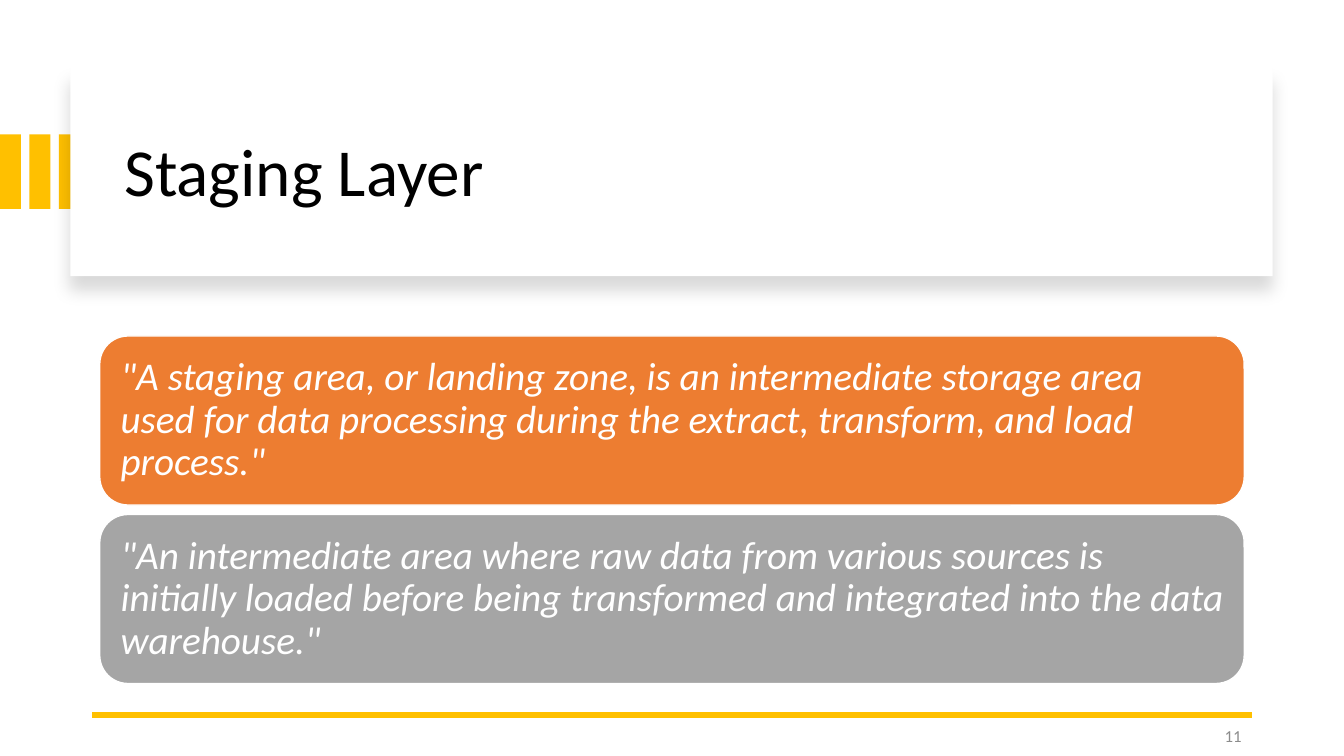
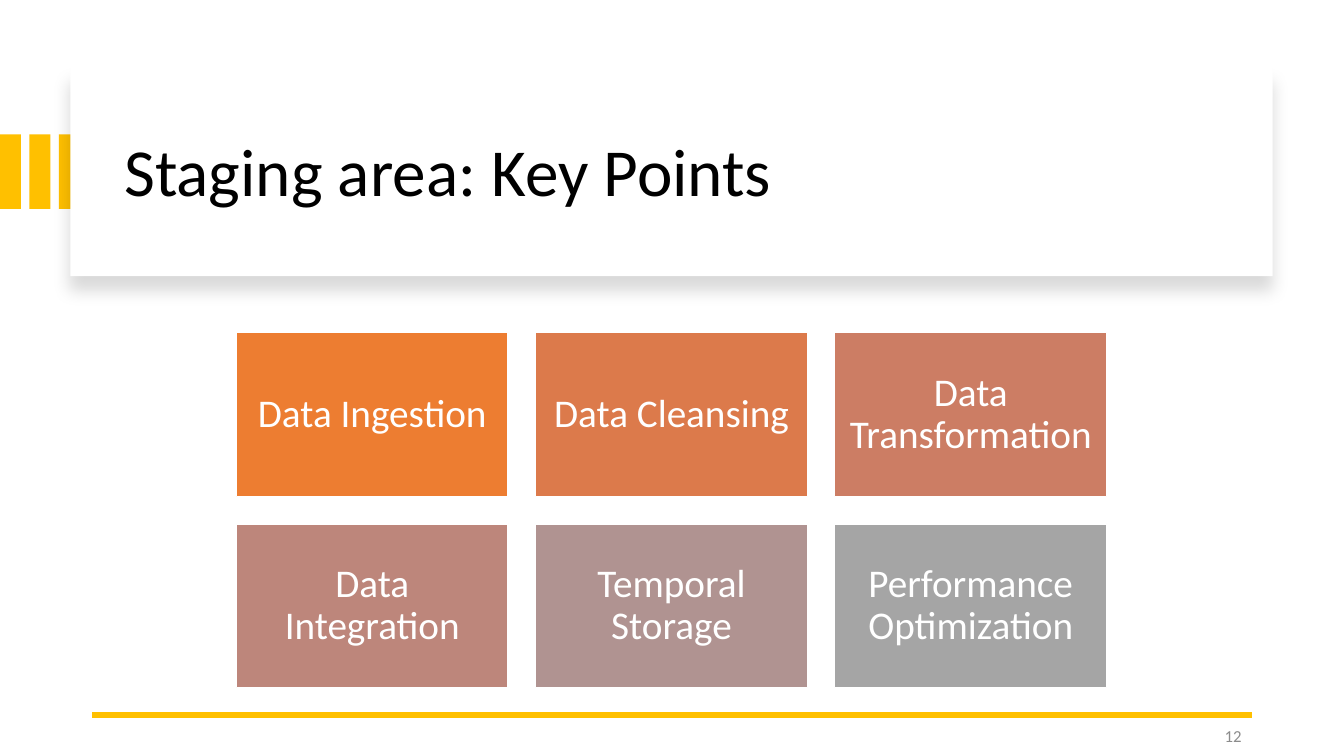
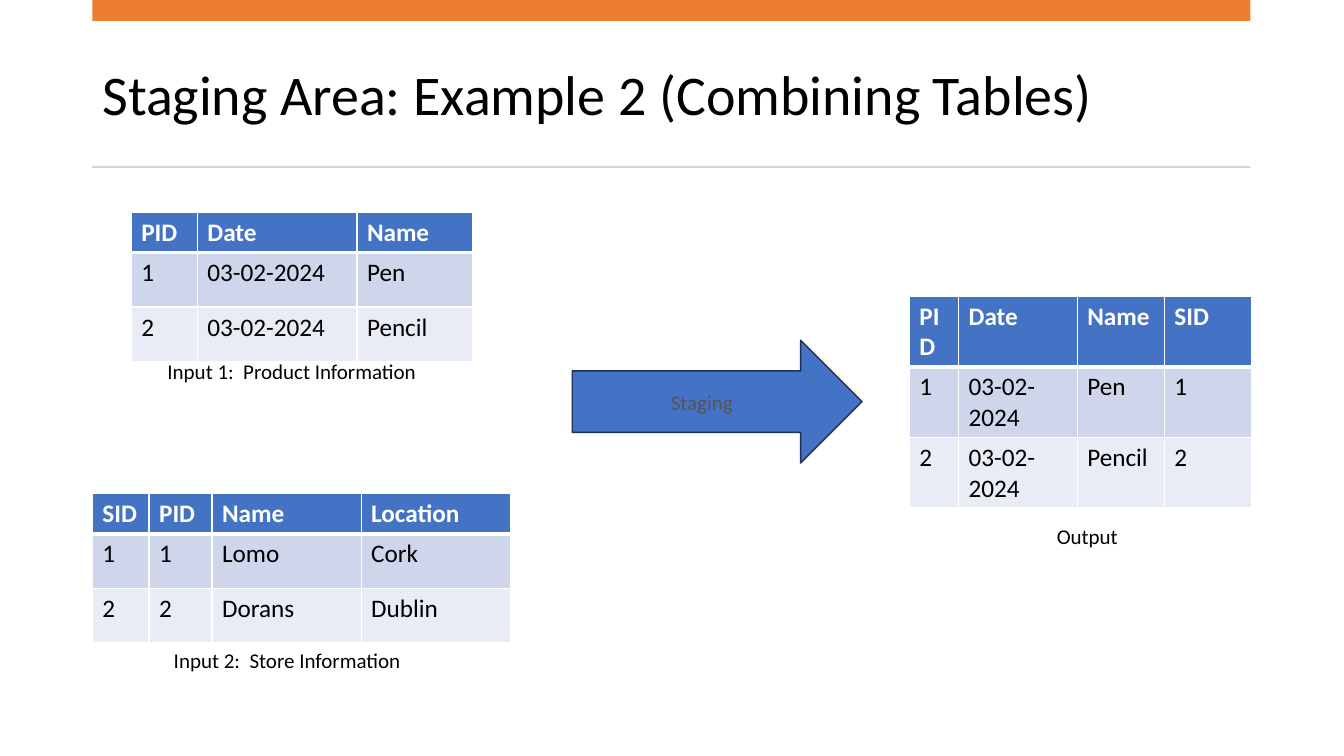
import lxml.etree
import pptx
import pptx.dml.color
import pptx.enum.shapes
import pptx.enum.text
import pptx.oxml
import pptx.oxml.ns
import pptx.util

SCALE = 9525
FONT = "Calibri"

RGBColor = pptx.dml.color.RGBColor
Shapes = pptx.enum.shapes.MSO_SHAPE
Align = pptx.enum.text.PP_ALIGN
Anchor = pptx.enum.text.MSO_ANCHOR

BLACK = RGBColor(0x00, 0x00, 0x00)
WHITE = RGBColor(0xFF, 0xFF, 0xFF)
GOLD = RGBColor(0xFF, 0xC0, 0x00)
ORANGE = RGBColor(0xED, 0x7D, 0x31)
GREY = RGBColor(0xA5, 0xA5, 0xA5)
RULE_GREY = RGBColor(0xD5, 0xD5, 0xD5)
NUMBER_GREY = RGBColor(0x8C, 0x8C, 0x8C)
ARROW_GREY = RGBColor(0x55, 0x55, 0x55)
BLUE = RGBColor(0x44, 0x72, 0xC4)
NAVY = RGBColor(0x1E, 0x32, 0x56)
BAND_DARK = RGBColor(0xCF, 0xD5, 0xEA)
BAND_LIGHT = RGBColor(0xE9, 0xEB, 0xF5)
TILE_COLORS = [
    ORANGE,
    RGBColor(0xDC, 0x7A, 0x4B),
    RGBColor(0xCC, 0x7D, 0x64),
    RGBColor(0xBD, 0x86, 0x7B),
    RGBColor(0xB0, 0x93, 0x91),
    GREY,
]

ROW_HEIGHTS = [33, 52, 52]
CARD_INSET = 12
DRAWING = "http://schemas.openxmlformats.org/drawingml/2006/main"


def px(value):
    return pptx.util.Emu(value * SCALE)


def box(left, top, width, height):
    return px(left), px(top), px(width), px(height)


def style_paragraph(paragraph, size, color, bold=False, italic=False):
    font = paragraph.font
    font.name = FONT
    font.size = pptx.util.Pt(size)
    font.color.rgb = color
    font.bold = bold
    font.italic = italic


def write_text(shape, text, size, color, align=Align.LEFT, anchor=Anchor.MIDDLE,
               spacing=1.0, italic=False, inset=None):
    frame = shape.text_frame
    frame.word_wrap = True
    frame.vertical_anchor = anchor
    if inset is not None:
        frame.margin_left = frame.margin_right = px(inset)
        frame.margin_top = frame.margin_bottom = px(inset)
    paragraph = frame.paragraphs[0]
    paragraph.text = text
    paragraph.alignment = align
    paragraph.line_spacing = spacing
    style_paragraph(paragraph, size, color, italic=italic)


def add_text(slide, bounds, text, size, color=BLACK, **options):
    write_text(slide.shapes.add_textbox(*box(*bounds)), text, size, color, **options)


def add_block(slide, kind, bounds, fill, outline=None):
    shape = slide.shapes.add_shape(kind, *box(*bounds))
    shape.shadow.inherit = False
    shape.fill.solid()
    shape.fill.fore_color.rgb = fill
    if outline is None:
        shape.line.fill.background()
    else:
        shape.line.color.rgb = outline
        shape.line.width = pptx.util.Pt(1)
    return shape


def add_card(slide, kind, bounds, fill, text, **options):
    shape = add_block(slide, kind, bounds, fill, WHITE)
    write_text(shape, text, 28, WHITE, spacing=0.9, inset=CARD_INSET, **options)


def add_drop_shadow(shape):
    effects = shape.element.spPr.find(pptx.oxml.ns.qn("a:effectLst"))
    effects.append(pptx.oxml.parse_xml(
        f'<a:outerShdw xmlns:a="{DRAWING}" blurRad="139700" dist="127000" '
        'dir="5400000" algn="t" rotWithShape="0"><a:srgbClr val="000000">'
        '<a:alpha val="15000"/></a:srgbClr></a:outerShdw>'))


def add_rule(slide, left, right, y):
    line = slide.shapes.add_connector(
        pptx.enum.shapes.MSO_CONNECTOR.STRAIGHT, px(left), px(y), px(right), px(y))
    line.line.color.rgb = GOLD
    line.line.width = pptx.util.Pt(4.5)
    lxml.etree.SubElement(line.element.spPr, pptx.oxml.ns.qn("a:effectLst"))


def add_slide(presentation):
    return presentation.slides.add_slide(presentation.slide_layouts[6])


def add_banner_slide(presentation, title, number):
    slide = add_slide(presentation)
    for index in range(3):
        add_block(slide, Shapes.RECTANGLE, (index * 28, 128, 20, 71), GOLD)
    banner = add_block(slide, Shapes.RECTANGLE, (67, 64, 1145, 199), WHITE)
    add_drop_shadow(banner)
    add_text(slide, (109, 85, 1068, 163), title, 48, spacing=0.9)
    add_rule(slide, 88, 1192, 681)
    add_text(slide, (904, 682, 288, 38), number, 12, NUMBER_GREY, align=Align.RIGHT)
    return slide


def set_borders(cell, top, bottom):
    properties = cell._tc.get_or_add_tcPr()
    widths = {"lnL": 1, "lnR": 1, "lnT": top, "lnB": bottom}
    for index, (side, width) in enumerate(widths.items()):
        properties.insert(index, pptx.oxml.parse_xml(
            f'<a:{side} xmlns:a="{DRAWING}" w="{pptx.util.Pt(width)}"><a:solidFill>'
            f'<a:srgbClr val="{WHITE}"/></a:solidFill></a:{side}>'))


def add_data_table(slide, left, top, column_widths, rows):
    bounds = box(left, top, sum(column_widths), sum(ROW_HEIGHTS))
    table = slide.shapes.add_table(len(rows), len(column_widths), *bounds).table
    for column, width in zip(table.columns, column_widths):
        column.width = px(width)
    fills = [BLUE, BAND_DARK, BAND_LIGHT]
    for row_index, values in enumerate(rows):
        table.rows[row_index].height = px(ROW_HEIGHTS[row_index])
        header = row_index == 0
        for column_index, value in enumerate(values):
            cell = table.cell(row_index, column_index)
            cell.fill.solid()
            cell.fill.fore_color.rgb = fills[row_index]
            set_borders(cell, 3 if row_index == 1 else 1, 3 if header else 1)
            paragraph = cell.text_frame.paragraphs[0]
            paragraph.text = value
            style_paragraph(paragraph, 18, WHITE if header else BLACK, bold=header)


def build_staging_layer(presentation):
    slide = add_banner_slide(presentation, "Staging Layer", "11")
    quotes = [
        (ORANGE, '"A staging area, or landing zone, is an intermediate storage area used '
                 'for data processing during the extract, transform, and load process."'),
        (GREY, '"An intermediate area where raw data from various sources is initially '
               'loaded before being transformed and integrated into the data warehouse."'),
    ]
    for index, (fill, quote) in enumerate(quotes):
        add_card(slide, Shapes.ROUNDED_RECTANGLE, (95, 320 + index * 170, 1090, 161),
                 fill, quote, italic=True)


def build_key_points(presentation):
    slide = add_banner_slide(presentation, "Staging area: Key Points", "12")
    points = ["Data Ingestion", "Data Cleansing", "Data Transformation",
              "Data Integration", "Temporal Storage", "Performance Optimization"]
    width, height, gap = 259, 156, 26
    for index, (point, fill) in enumerate(zip(points, TILE_COLORS)):
        row, column = divmod(index, 3)
        bounds = (225 + column * (width + gap), 317 + row * (height + gap), width, height)
        add_card(slide, Shapes.RECTANGLE, bounds, fill, point, align=Align.CENTER)


def build_combining_tables(presentation):
    slide = add_slide(presentation)
    add_text(slide, (88, 36, 1115, 113), "Staging Area: Example 2 (Combining Tables)",
             40, spacing=0.9)
    add_block(slide, Shapes.RECTANGLE, (88, 0, 1103, 20), ORANGE)
    add_block(slide, Shapes.RECTANGLE, (88, 158, 1103, 2), RULE_GREY)

    add_data_table(slide, 125, 202, [63, 152, 110], [
        ["PID", "Date", "Name"],
        ["1", "03-02-2024", "Pen"],
        ["2", "03-02-2024", "Pencil"],
    ])
    add_data_table(slide, 88, 470, [54, 60, 142, 142], [
        ["SID", "PID", "Name", "Location"],
        ["1", "1", "Lomo", "Cork"],
        ["2", "2", "Dorans", "Dublin"],
    ])
    add_data_table(slide, 866, 282, [47, 113, 83, 83], [
        ["PID", "Date", "Name", "SID"],
        ["1", "03-02-2024", "Pen", "1"],
        ["2", "03-02-2024", "Pencil", "2"],
    ])

    arrow = add_block(slide, Shapes.RIGHT_ARROW, (545, 324, 276, 117), BLUE, NAVY)
    write_text(arrow, "Staging", 15, ARROW_GREY, align=Align.CENTER)

    captions = [
        ((150, 337, 285, 34), "Input 1:  Product Information"),
        ((156, 612, 285, 34), "Input 2:  Store Information"),
        ((997, 494, 81, 35), "Output"),
    ]
    for bounds, caption in captions:
        add_text(slide, bounds, caption, 15, anchor=Anchor.TOP)


def main():
    presentation = pptx.Presentation()
    presentation.slide_width = px(1280)
    presentation.slide_height = px(720)
    build_staging_layer(presentation)
    build_key_points(presentation)
    build_combining_tables(presentation)
    presentation.save("out.pptx")


if __name__ == "__main__":
    main()
